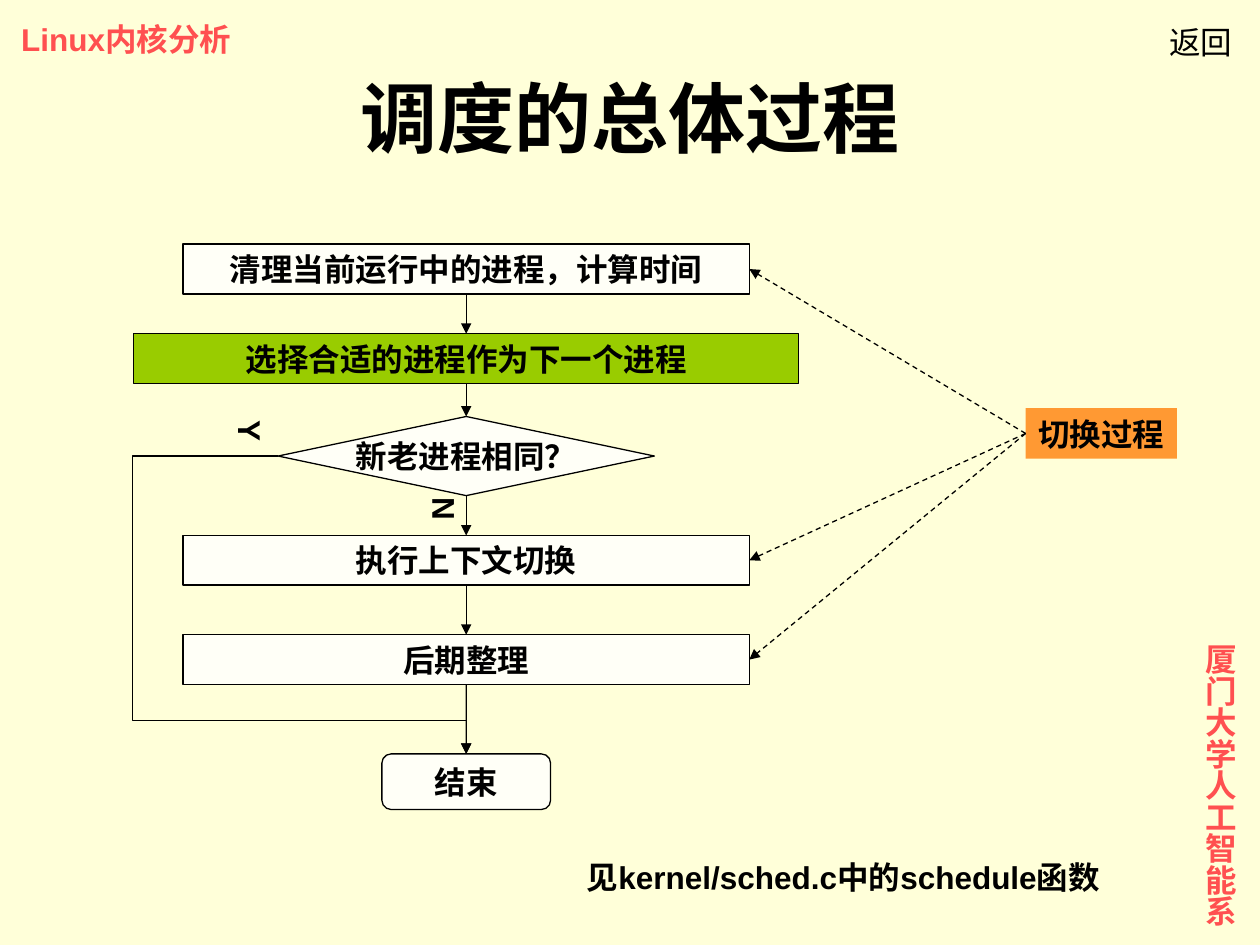
from lxml import etree
from pptx import Presentation
from pptx.dml.color import RGBColor
from pptx.enum import dml, shapes, text
from pptx.oxml.ns import qn
from pptx.util import Pt

BLACK, RED, CREAM, GREEN, ORANGE = "000000", "FF5050", "FFFFF7", "99CC00", "FF9933"
TOP, LEFT, BOTTOM, RIGHT = range(4)
CENTRE = 266.4  # axis of the flow chart


def write(shape, wording, size=18, color=BLACK, bold=True, font="Arial",
          align=text.PP_ALIGN.CENTER, anchor=text.MSO_ANCHOR.MIDDLE):
    frame = shape.text_frame
    frame.text = wording
    frame.word_wrap = False
    frame.vertical_anchor = anchor
    paragraph = frame.paragraphs[0]
    paragraph.alignment = align
    formats = {"size": Pt(size), "bold": bold, "name": font}
    for name, value in formats.items():
        setattr(paragraph.font, name, value)
    paragraph.font.color.rgb = RGBColor.from_string(color)


def style_arrow(connector):
    """Thin black line without shadow, with a triangle at its end."""
    connector.line.width = Pt(0.75)
    connector.line.color.rgb = RGBColor.from_string(BLACK)
    line = connector.line._ln
    etree.SubElement(line, qn("a:tailEnd"), type="triangle")
    line.addnext(etree.Element(qn("a:effectLst")))


deck = Presentation()
deck.slide_width, deck.slide_height = Pt(720), Pt(540)
slide = deck.slides.add_slide(deck.slide_layouts[5])
slide.background.fill.solid()
slide.background.fill.fore_color.rgb = RGBColor.from_string("FFFFD9")

# Title
title = slide.shapes.title
title.left, title.top, title.width, title.height = Pt(36), Pt(21.6), Pt(648), Pt(90)
write(title, "调度的总体过程", size=44)
title.text_frame.word_wrap = True
title.text_frame.auto_size = text.MSO_AUTO_SIZE.NONE

# Free labels: wording, left, top, width, height, format
labels = [
    ("Linux内核分析", 5, 7.9, 138.2, 28.8, {"color": RED}),
    ("厦门大学人工智能系", 675.4, 360.7, 36, 169.2, {"color": RED}),
    ("返回", 661, 9.4, 50.4, 28.8, {"bold": False, "font": "DejaVu Sans"}),
    ("Y", 131.8, 233.3, 25.9, 28.8, {}),
    ("N", 241.2, 277.2, 27.4, 28.8, {}),
    ("见kernel/sched.c中的schedule函数", 328.3, 486.7, 324.7, 28.8, {}),
]
for wording, left, top, width, height, formats in labels:
    label = slide.shapes.add_textbox(Pt(left), Pt(top), Pt(width), Pt(height))
    write(label, wording, align=text.PP_ALIGN.LEFT, anchor=text.MSO_ANCHOR.TOP, **formats)
    frame = label.text_frame
    frame.auto_size = text.MSO_AUTO_SIZE.SHAPE_TO_FIT_TEXT
    if height > width:
        frame._txBody.bodyPr.set("vert", "eaVert")
        frame.margin_left = frame.margin_right = Pt(3.6)
        frame.margin_top = frame.margin_bottom = Pt(7.2)

# Boxes: wording, outline, centre, top, width, height, fill
kinds = shapes.MSO_SHAPE
boxes = [
    ("清理当前运行中的进程，计算时间", kinds.RECTANGLE, CENTRE, 139.5, 323.5, 28.5, CREAM),
    ("选择合适的进程作为下一个进程", kinds.RECTANGLE, CENTRE, 190.7, 380, 28.4, GREEN),
    ("新老进程相同？", kinds.FLOWCHART_DECISION, CENTRE, 238, 215, 45.2, CREAM),
    ("执行上下文切换", kinds.RECTANGLE, CENTRE, 306, 323.5, 28.4, CREAM),
    ("后期整理", kinds.RECTANGLE, CENTRE, 362.7, 323.5, 28.5, CREAM),
    ("结束", kinds.FLOWCHART_ALTERNATE_PROCESS, CENTRE, 430.8, 96.4, 31.8, CREAM),
    ("切换过程", kinds.RECTANGLE, 629.3, 233.3, 86.4, 28.8, ORANGE),
]
placed = []
for wording, kind, centre, top, width, height, fill in boxes:
    box = slide.shapes.add_shape(kind, Pt(centre - width / 2), Pt(top), Pt(width), Pt(height))
    box.shadow.inherit = False
    box.fill.solid()
    box.fill.fore_color.rgb = RGBColor.from_string(fill)
    if fill == ORANGE:
        box.line.fill.background()
    else:
        box.line.width = Pt(0.75)
        box.line.color.rgb = RGBColor.from_string(BLACK)
    write(box, wording)
    placed.append(box)
*steps, switching = placed
clean_up, choose, same, switch, finish, end = steps

# Arrows down the flow, then dashed ones from the switching label
links = [(a, BOTTOM, b, TOP) for a, b in zip(steps, steps[1:])]
links += [(switching, LEFT, step, RIGHT) for step in (clean_up, switch, finish)]
for source, source_side, target, target_side in links:
    arrow = slide.shapes.add_connector(shapes.MSO_CONNECTOR.STRAIGHT, 0, 0, 0, 0)
    arrow.begin_connect(source, source_side)
    arrow.end_connect(target, target_side)
    style_arrow(arrow)
    if source is switching:
        arrow.line.dash_style = dml.MSO_LINE.DASH

# Bypass from the decision, round the left, to the end
bypass = slide.shapes.add_connector(
    shapes.MSO_CONNECTOR.ELBOW, same.left, same.top + same.height // 2, Pt(CENTRE), end.top)
style_arrow(bypass)
geometry = bypass._element.spPr.find(qn("a:prstGeom"))
geometry.set("prst", "bentConnector4")
guides = geometry.find(qn("a:avLst"))
if guides is None:
    guides = etree.SubElement(geometry, qn("a:avLst"))
for name, value in {"adj1": -77300, "adj2": 88800}.items():
    etree.SubElement(guides, qn("a:gd"), name=name, fmla=f"val {value}")

deck.save("out.pptx")
